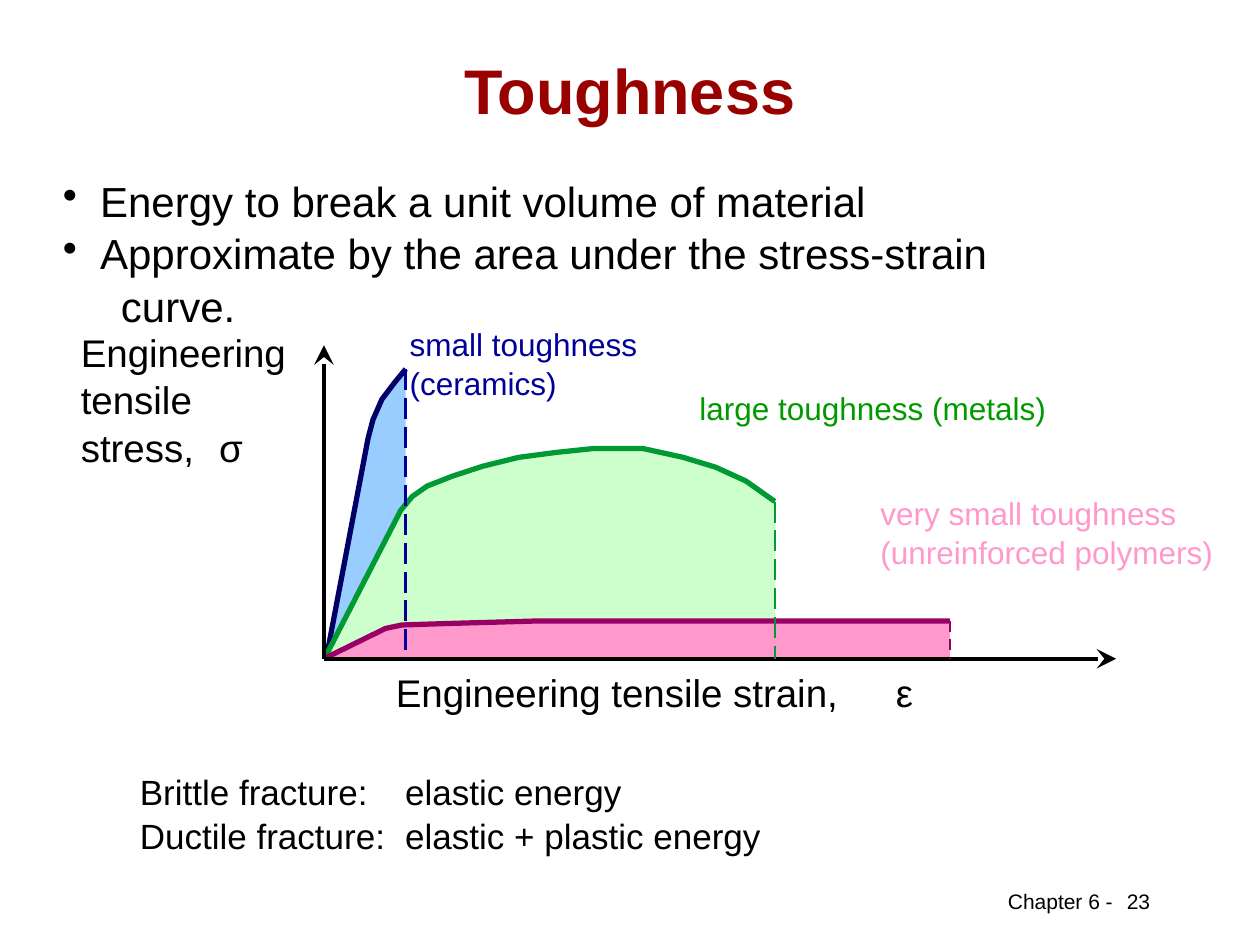
from lxml.etree import SubElement
from pptx import Presentation
from pptx.dml.color import RGBColor
from pptx.enum.dml import MSO_LINE_DASH_STYLE as Dash
from pptx.enum.shapes import MSO_CONNECTOR as Connector
from pptx.enum.text import MSO_ANCHOR as Anchor, PP_ALIGN as Align
from pptx.oxml.ns import qn
from pptx.util import Cm, Pt

FONT = "Arial"
BLACK = "000000"
ORIGIN_X, BASE_Y = 6.53, 13.28

CERAMIC = [(6.58, 13.26), (7.42, 8.84), (7.52, 8.46), (7.7, 8.05),
           (7.95, 7.72), (8.18, 7.44)]
METAL = [(6.55, 13.26), (8.08, 10.29), (8.31, 10.01), (8.61, 9.8),
         (9.12, 9.6), (9.73, 9.4), (10.46, 9.22), (11.23, 9.12),
         (11.99, 9.04), (12.95, 9.04), (13.77, 9.22), (14.43, 9.42),
         (15.04, 9.7), (15.62, 10.11)]
POLYMER = [(6.53, 13.28), (7.77, 12.67), (8.1, 12.6), (9.02, 12.57),
           (10.8, 12.52), (19.15, 12.52)]


def color(hex_text):
    return RGBColor.from_string(hex_text)


def add_text(page, place, lines, size, hex_text=BLACK, bold=False,
             align=Align.LEFT, anchor=Anchor.TOP, spacing=None):
    """Add a box without insets, one paragraph a line; return its paragraphs."""
    box = page.shapes.add_textbox(*(Cm(length) for length in place))
    frame = box.text_frame
    frame.word_wrap = True
    frame.vertical_anchor = anchor
    frame.margin_left = frame.margin_right = 0
    frame.margin_top = frame.margin_bottom = 0
    for index, line in enumerate(lines):
        para = frame.add_paragraph() if index else frame.paragraphs[0]
        para.alignment = align
        if spacing:
            para.line_spacing = spacing
        span = para.add_run()
        span.text = line
        span.font.name = FONT
        span.font.size = Pt(size)
        span.font.bold = bold
        span.font.color.rgb = color(hex_text)
    return frame.paragraphs


def set_indent(para, left, first=0, bullet=None):
    properties = para._p.get_or_add_pPr()
    properties.set("marL", str(Cm(left)))
    properties.set("indent", str(Cm(first)))
    if bullet:
        SubElement(properties, qn("a:buChar"), char=bullet)


def set_tab(para, position):
    tabs = SubElement(para._p.get_or_add_pPr(), qn("a:tabLst"))
    SubElement(tabs, qn("a:tab"), pos=str(Cm(position)), algn="l")


def add_outline(page, points, close):
    start, *others = [(Cm(x), Cm(y)) for x, y in points]
    builder = page.shapes.build_freeform(*start, scale=1.0)
    builder.add_line_segments(others, close=close)
    shape = builder.convert_to_shape()
    shape.shadow.inherit = False
    return shape


def add_area(page, curve, hex_text):
    """Fill the region between a curve and the strain axis."""
    area = add_outline(page, curve + [(curve[-1][0], BASE_Y)], close=True)
    area.fill.solid()
    area.fill.fore_color.rgb = color(hex_text)
    area.line.fill.background()


def add_curve(page, points, hex_text):
    curve = add_outline(page, points, close=False)
    curve.fill.background()
    curve.line.color.rgb = color(hex_text)
    curve.line.width = Pt(3)


def add_line(page, start, end, hex_text, width):
    line = page.shapes.add_connector(
        Connector.STRAIGHT, *(Cm(length) for length in start + end))
    line.line.color.rgb = color(hex_text)
    line.line.width = Pt(width)
    SubElement(line._element.spPr, qn("a:effectLst"))
    return line


def add_axis(page, end):
    axis = add_line(page, (ORIGIN_X, BASE_Y), end, BLACK, 2.25)
    SubElement(axis.line._get_or_add_ln(), qn("a:tailEnd"),
               type="stealth", w="lg", len="lg")


def add_fracture_mark(page, curve, hex_text, dash):
    end_x, end_y = curve[-1]
    mark = add_line(page, (end_x, end_y), (end_x, BASE_Y), hex_text, 1.5)
    mark.line.dash_style = dash


def add_diagram(page):
    add_area(page, CERAMIC, "99CCFF")
    add_area(page, METAL, "CCFFCC")
    add_curve(page, CERAMIC, "000066")
    add_curve(page, METAL, "009933")
    add_area(page, POLYMER, "FF99CC")
    add_curve(page, POLYMER, "990066")
    add_axis(page, (22.5, BASE_Y))
    add_axis(page, (ORIGIN_X, 6.96))
    add_fracture_mark(page, CERAMIC, "000099", Dash.LONG_DASH)
    add_fracture_mark(page, METAL, "009933", Dash.LONG_DASH)
    add_fracture_mark(page, POLYMER, "990066", Dash.DASH)

    stress = add_text(page, (1.63, 6.6, 4.6, 2.8),
                      ["Engineering", "tensile", "stress,\tσ"], 22,
                      spacing=1.03)
    set_tab(stress[-1], 2.79)
    strain = add_text(page, (7.98, 13.49, 11, 0.94),
                      ["Engineering tensile strain,\tε"], 22)
    set_tab(strain[0], 10.08)
    add_text(page, (8.26, 6.53, 5.2, 1.5),
             ["small toughness (ceramics)"], 18, "000099", spacing=1.03)
    add_text(page, (14.1, 7.85, 7.4, 0.76),
             ["large toughness (metals)"], 18, "009900")
    add_text(page, (17.75, 9.93, 7.2, 1.5),
             ["very small toughness", "(unreinforced polymers)"], 18,
             "FF99CC", spacing=1.03)


def main():
    deck = Presentation()
    deck.slide_width, deck.slide_height = Cm(25.4), Cm(19.05)
    page = deck.slides.add_slide(deck.slide_layouts[6])

    add_text(page, (1.9, 1.07, 21.59, 1.47), ["Toughness"], 36, "990000",
             bold=True, align=Align.CENTER, anchor=Anchor.MIDDLE)
    points = add_text(page, (1.27, 3.5, 22.22, 3.05),
                      ["Energy to break a unit volume of material",
                       "Approximate by the area under the stress-strain",
                       "curve."], 24, spacing=1.04)
    for para in points[:2]:
        set_indent(para, 0.75, -0.75, "•")
    set_indent(points[2], 1.17)

    add_diagram(page)

    fractures = add_text(page, (2.82, 15.5, 17.6, 1.7),
                         ["Brittle fracture:\telastic energy",
                          "Ductile fracture:\telastic + plastic energy"],
                         20, spacing=1.04)
    for para in fractures:
        set_tab(para, 5.35)

    add_text(page, (20.32, 17.91, 2.3, 0.5), ["Chapter 6 -"], 12)
    add_text(page, (21.31, 17.91, 3.28, 0.5), ["23"], 12, align=Align.CENTER)
    deck.save("out.pptx")


if __name__ == "__main__":
    main()
